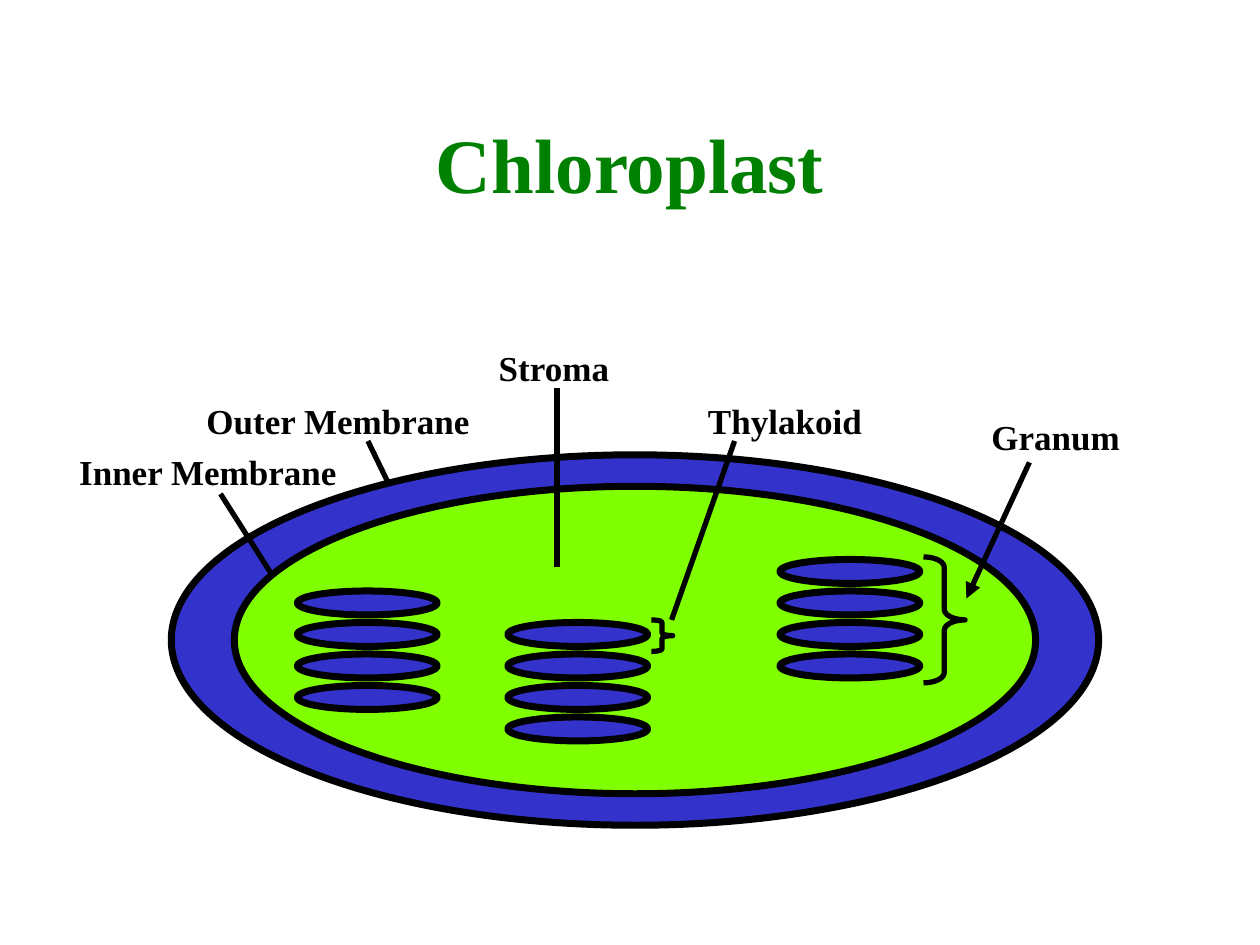
"""Build a labelled chloroplast diagram slide."""
from typing import NamedTuple, Optional

from lxml import etree
from pptx import Presentation
from pptx import util as u
from pptx.dml.color import RGBColor
from pptx.enum import shapes, text
from pptx.oxml.ns import qn

COLOURS = {"title": "008000", "ink": "000000", "membrane": "3333CC", "stroma": "7FFF00"}
FONT = "Times New Roman"
DISC_SIZE = (1.11, 0.19)
DISC_STEP = 0.25
DISCS_PER_GRANUM = 4


class Box(NamedTuple):
    left: float
    top: float
    width: float
    height: float


class Brace(NamedTuple):
    box: Box
    curve: float


class Callout(NamedTuple):
    wording: str
    box: Box
    start: tuple[float, float]
    end: tuple[float, float]
    arrow: bool = False
    brace: Optional[Brace] = None


GRANA = [(6.19, 4.44), (4.03, 4.94), (2.36, 4.69)]
CALLOUTS = [
    Callout("Granum", Box(7.77, 3.25, 1.22, 0.43), (8.17, 3.67), (7.67, 4.75),
            arrow=True, brace=Brace(Box(7.33, 4.42, 0.33, 1), 0.25)),
    Callout("Thylakoid", Box(5.52, 3.12, 1.42, 0.43), (5.83, 3.5), (5.33, 4.92),
            brace=Brace(Box(5.17, 4.92, 0.17, 0.25), 0.12)),
    Callout("Stroma", Box(3.86, 2.7, 1.08, 0.43), (4.42, 3.08), (4.42, 4.5)),
    Callout("Outer Membrane", Box(1.54, 3.12, 2.29, 0.43), (2.92, 3.5), (3.08, 3.83)),
    Callout("Inner Membrane", Box(0.53, 3.53, 2.25, 0.43), (1.75, 3.92), (2.17, 4.58)),
]


def inches(values) -> list:
    return [u.Inches(value) for value in values]


def colour(name: str) -> RGBColor:
    return RGBColor.from_string(COLOURS[name])


def style_line(line, width: float) -> None:
    line.color.rgb = colour("ink")
    line.width = u.Pt(width)


def style_text(paragraph, size: float, ink: str, align) -> None:
    paragraph.alignment = align
    for run in paragraph.runs:
        run.font.name = FONT
        run.font.size = u.Pt(size)
        run.font.bold = True
        run.font.color.rgb = colour(ink)


def add_oval(slide, box: Box, fill: str) -> None:
    oval = slide.shapes.add_shape(shapes.MSO_SHAPE.OVAL, *inches(box))
    oval.shadow.inherit = False
    oval.fill.solid()
    oval.fill.fore_color.rgb = colour(fill)
    style_line(oval.line, 4)


def add_granum(slide, left: float, top: float) -> None:
    for level in range(DISCS_PER_GRANUM):
        add_oval(slide, Box(left, top + level * DISC_STEP, *DISC_SIZE), "membrane")


def add_brace(slide, brace: Brace) -> None:
    bracket = slide.shapes.add_shape(shapes.MSO_SHAPE.RIGHT_BRACE, *inches(brace.box))
    bracket.shadow.inherit = False
    bracket.adjustments[0] = brace.curve
    bracket.fill.background()
    style_line(bracket.line, 3)


def add_pointer(slide, callout: Callout) -> None:
    pointer = slide.shapes.add_connector(
        shapes.MSO_CONNECTOR.STRAIGHT, *inches(callout.start + callout.end))
    style_line(pointer.line, 3)
    properties = pointer.element.spPr
    if callout.arrow:
        etree.SubElement(properties.find(qn("a:ln")), qn("a:tailEnd"), type="triangle")
    etree.SubElement(properties, qn("a:effectLst"))


def add_callout(slide, callout: Callout) -> None:
    label = slide.shapes.add_textbox(*inches(callout.box))
    frame = label.text_frame
    frame.text = callout.wording
    frame.word_wrap = False
    frame.auto_size = text.MSO_AUTO_SIZE.SHAPE_TO_FIT_TEXT
    style_text(frame.paragraphs[0], 20, "ink", text.PP_ALIGN.LEFT)
    if callout.brace:
        add_brace(slide, callout.brace)
    add_pointer(slide, callout)


def add_title(slide, wording: str, box: Box) -> None:
    title = slide.shapes.title
    title.left, title.top, title.width, title.height = inches(box)
    title.text_frame.text = wording
    title.text_frame.vertical_anchor = text.MSO_ANCHOR.MIDDLE
    style_text(title.text_frame.paragraphs[0], 44, "title", text.PP_ALIGN.CENTER)


def main() -> None:
    deck = Presentation()
    deck.slide_width, deck.slide_height = inches((10, 7.5))
    slide = deck.slides.add_slide(deck.slide_layouts[5])
    add_title(slide, "Chloroplast", Box(0.75, 0.67, 8.5, 1.25))
    add_oval(slide, Box(1.36, 3.61, 7.36, 2.94), "membrane")
    add_oval(slide, Box(1.86, 3.86, 6.36, 2.44), "stroma")
    for left, top in GRANA:
        add_granum(slide, left, top)
    for callout in CALLOUTS:
        add_callout(slide, callout)
    deck.save("out.pptx")


if __name__ == "__main__":
    main()
